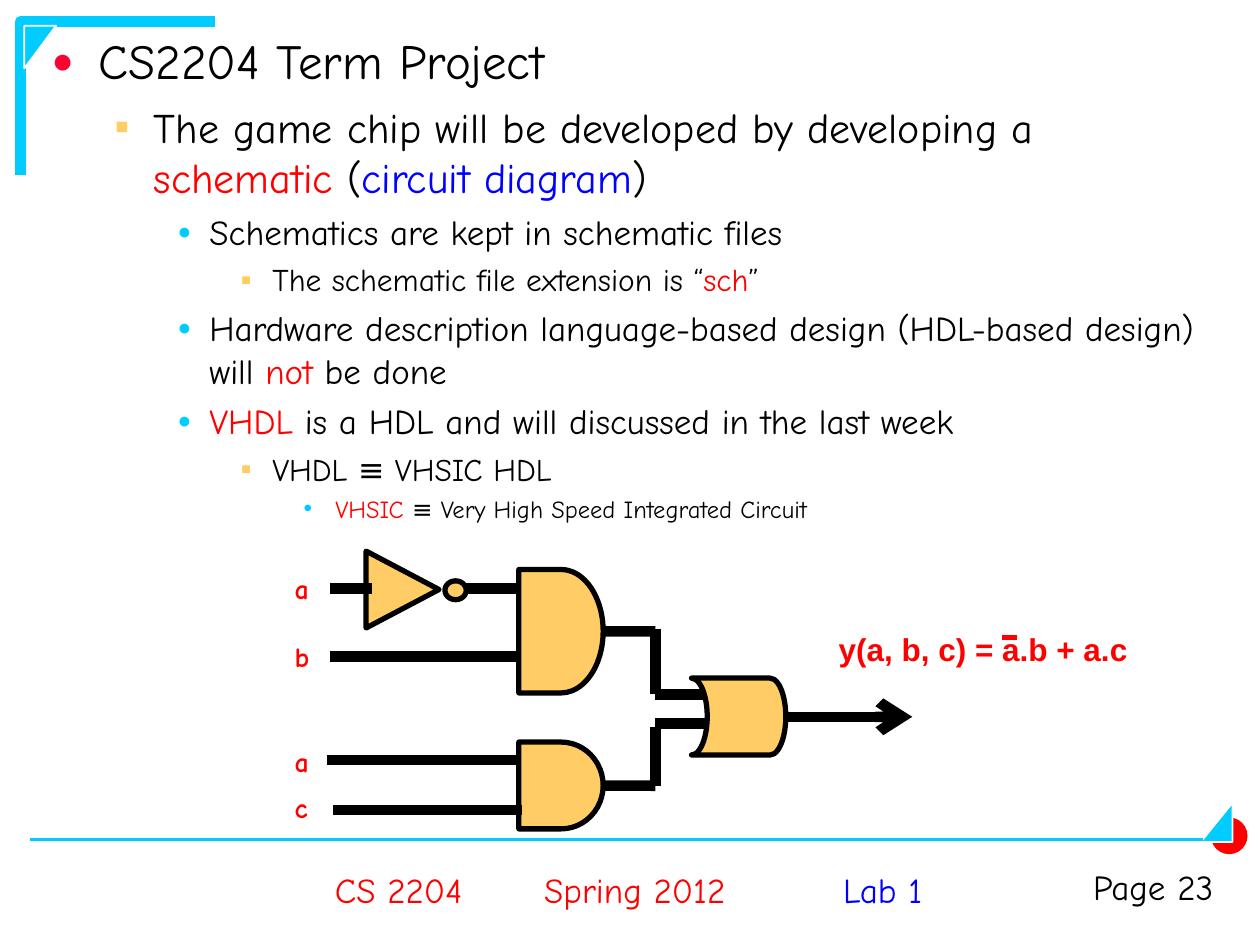
from dataclasses import dataclass

import lxml.etree
import pptx
import pptx.dml.color
import pptx.enum.shapes
import pptx.enum.text
import pptx.oxml.ns
import pptx.util

Cm = pptx.util.Cm
Pt = pptx.util.Pt
Shape = pptx.enum.shapes.MSO_SHAPE
Align = pptx.enum.text.PP_ALIGN
Anchor = pptx.enum.text.MSO_ANCHOR

COLORS = {
    "black": "000000", "white": "FFFFFF", "red": "FF0000", "blue": "0000FF",
    "cyan": "00CCFF", "amber": "FFCC66", "crimson": "FF0033",
}
FONT = "Comic Neue"


@dataclass
class Level:
    size: int
    margin: float
    hanging: float
    before: float
    bullet: str
    bullet_color: str
    bullet_percent: int = 100


@dataclass
class Item:
    level: int
    runs: list[tuple[str, str]]


@dataclass
class Figure:
    kind: int
    frame: tuple[float, float, float, float]
    fill: str
    line: str | None = None
    weight: float = 1
    rotation: int = 0


@dataclass
class Wire:
    start: tuple[float, float]
    end: tuple[float, float]
    color: str = "black"
    weight: float = 6
    arrow: bool = False


@dataclass
class Label:
    text: str
    frame: tuple[float, float, float, float]
    color: str = "red"
    size: int = 20
    font: str = FONT
    bold: bool = False
    align: int = Align.LEFT
    anchor: int = Anchor.TOP
    spacing: float = 1
    tab: float | None = None


LEVELS = [
    Level(28, 0.95, 0.95, 0, "●", "crimson", 75),
    Level(24, 2.06, 0.79, 6, "▪", "amber"),
    Level(20, 3.18, 0.64, 5, "●", "cyan", 65),
    Level(18, 4.45, 0.64, 4.5, "▪", "amber"),
    Level(14, 5.72, 0.64, 3.5, "•", "cyan"),
]
ITEMS = [
    Item(0, [("CS2204 Term Project", "black")]),
    Item(1, [("The game chip will be developed by developing a ", "black"),
             ("schematic ", "red"), ("(", "black"),
             ("circuit diagram", "blue"), (")", "black")]),
    Item(2, [("Schematics are kept in schematic files", "black")]),
    Item(3, [("The schematic file extension is “", "black"), ("sch", "red"), ("”", "black")]),
    Item(2, [("Hardware description language-based design (HDL-based design) will ", "black"),
             ("not", "red"), (" be done", "black")]),
    Item(2, [("VHDL", "red"), (" is a HDL and will discussed in the last week", "black")]),
    Item(3, [("VHDL ≡ VHSIC HDL", "black")]),
    Item(4, [("VHSIC", "red"), (" ≡ Very High Speed Integrated Circuit", "black")]),
]
ORNAMENTS = [
    Figure(Shape.RIGHT_TRIANGLE, (0.38, 0.63, 0.86, 0.64), "cyan", "white", 1, 90),
    Figure(Shape.OVAL, (24.41, 16.48, 0.74, 0.74), "red"),
    Figure(Shape.RIGHT_TRIANGLE, (24.13, 16.26, 0.79, 0.64), "cyan", "white", 1, 270),
]
INVERTER = [
    Figure(Shape.FLOWCHART_EXTRACT, (7.34, 11.15, 1.55, 1.47), "amber", "black", 3, 90),
    Figure(Shape.FLOWCHART_CONNECTOR, (8.97, 11.71, 0.43, 0.38), "amber", "black", 3),
]
AND_GATES = [
    Figure(Shape.FLOWCHART_DELAY, (10.46, 11.48, 1.7, 2.49), "amber", "black", 3),
    Figure(Shape.FLOWCHART_DELAY, (10.46, 14.96, 1.7, 1.75), "amber", "black", 3),
]
OR_GATE = Figure(Shape.FLOWCHART_STORED_DATA, (13.94, 13.67, 1.9, 1.55), "amber", "black", 3, 180)
AND_OUTPUTS = [
    Wire((12.16, 12.73), (13.21, 12.73)),
    Wire((12.16, 15.84), (13.21, 15.84)),
]
WIRES = [
    Wire((6.65, 11.86), (7.49, 11.86)),
    Wire((9.4, 11.86), (10.46, 11.86)),
    Wire((6.65, 13.23), (10.46, 13.23)),
    Wire((6.6, 15.32), (10.41, 15.32)),
    Wire((6.71, 16.33), (10.52, 16.33)),
    Wire((13.21, 12.67), (13.21, 14)),
    Wire((13.21, 14.66), (13.21, 15.84)),
    Wire((13.21, 14), (14.27, 14)),
    Wire((13.21, 14.58), (14.27, 14.58)),
    Wire((15.85, 14.45), (18.39, 14.45), arrow=True),
]
FOOTERS = [
    Label("Lab 1", (15.19, 17.12, 5.21, 1.63), "blue", align=Align.CENTER, anchor=Anchor.MIDDLE),
    Label("CS 2204\tSpring 2012", (6.5, 17.12, 8.6, 1.63), anchor=Anchor.MIDDLE, tab=4.22),
    Label("Page 23", (20.6, 17.32, 4.11, 1.42), "black", align=Align.RIGHT),
]
INPUTS = [("a", 11.48), ("b", 12.85), ("a", 14.96), ("c", 15.88)]
EQUATION = Label("y(a, b, c) = a.b + a.c", (16.16, 12.73, 7.32, 0.86), size=18, font="Arial",
                 bold=True, align=Align.CENTER, spacing=0.8)


def rgb(name: str):
    return pptx.dml.color.RGBColor.from_string(COLORS[name])


def add_child(parent, tag: str, **attributes):
    return lxml.etree.SubElement(parent, pptx.oxml.ns.qn(tag), **attributes)


def add_run(para, text: str, color: str, size: int, font: str = FONT, bold: bool = False):
    run = para.add_run()
    run.text = text
    run.font.name = font
    run.font.size = Pt(size)
    run.font.bold = bold
    run.font.color.rgb = rgb(color)


def draw_figure(page, figure: Figure):
    shape = page.shapes.add_shape(figure.kind, *map(Cm, figure.frame))
    shape.shadow.inherit = False
    shape.rotation = figure.rotation
    shape.fill.solid()
    shape.fill.fore_color.rgb = rgb(figure.fill)
    if figure.line:
        shape.line.color.rgb = rgb(figure.line)
        shape.line.width = Pt(figure.weight)
    else:
        shape.line.fill.background()
    return shape


def draw_wire(page, wire: Wire):
    connector = page.shapes.add_connector(
        pptx.enum.shapes.MSO_CONNECTOR.STRAIGHT, *map(Cm, wire.start + wire.end))
    connector.line.color.rgb = rgb(wire.color)
    connector.line.width = Pt(wire.weight)
    if wire.arrow:
        add_child(connector.line._get_or_add_ln(), "a:tailEnd", type="arrow")
    add_child(connector._element.spPr, "a:effectLst")
    return connector


def draw_polyline(page, points: list[tuple[float, float]], color: str, weight: float):
    start, *rest = [(Cm(x), Cm(y)) for x, y in points]
    builder = page.shapes.build_freeform(*start)
    builder.add_line_segments(rest, close=False)
    shape = builder.convert_to_shape()
    shape.shadow.inherit = False
    shape.fill.background()
    shape.line.color.rgb = rgb(color)
    shape.line.width = Pt(weight)


def draw_label(page, label: Label):
    box = page.shapes.add_textbox(*map(Cm, label.frame))
    box.text_frame.word_wrap = True
    box.text_frame.vertical_anchor = label.anchor
    para = box.text_frame.paragraphs[0]
    if label.tab:
        tabs = add_child(para._p.get_or_add_pPr(), "a:tabLst")
        add_child(tabs, "a:tab", pos=str(Cm(label.tab)), algn="l")
    para.alignment = label.align
    para.line_spacing = label.spacing
    add_run(para, label.text, label.color, label.size, label.font, label.bold)
    return box


def fill_outline(body, items: list[Item]):
    body.left, body.top, body.width, body.height = map(Cm, (0.53, 0.63, 24.33, 16.31))
    frame = body.text_frame
    frame.auto_size = pptx.enum.text.MSO_AUTO_SIZE.NONE
    frame.vertical_anchor = Anchor.TOP
    frame.margin_left = frame.margin_right = Cm(0.51)
    for index, item in enumerate(items):
        para = frame.add_paragraph() if index else frame.paragraphs[0]
        level = LEVELS[item.level]
        para.level = item.level
        properties = para._p.get_or_add_pPr()
        properties.set("marL", str(Cm(level.margin)))
        properties.set("indent", str(-Cm(level.hanging)))
        add_child(add_child(properties, "a:buClr"), "a:srgbClr", val=COLORS[level.bullet_color])
        add_child(properties, "a:buSzPct", val=str(level.bullet_percent * 1000))
        add_child(properties, "a:buFont", typeface="Arial")
        add_child(properties, "a:buChar", char=level.bullet)
        para.space_before = Pt(level.before)
        para.line_spacing = 1.0 if index else 0.9
        for text, color in item.runs:
            add_run(para, text, color, level.size)


def main():
    deck = pptx.Presentation()
    deck.slide_width, deck.slide_height = Cm(25.4), Cm(19.05)
    page = deck.slides.add_slide(deck.slide_layouts[1])
    title = page.shapes.title._element
    title.getparent().remove(title)
    fill_outline(page.placeholders[1], ITEMS)

    draw_polyline(page, [(0.41, 3.53), (0.41, 0.43), (4.34, 0.43)], "cyan", 6)
    for ornament in ORNAMENTS:
        draw_figure(page, ornament)
    draw_polyline(page, [(24.84, 16.41), (24.84, 16.97), (24.46, 16.97)], "white", 0.75)
    draw_wire(page, Wire((0.61, 16.92), (24.26, 16.92), "cyan", 1.5))
    for footer in FOOTERS:
        draw_label(page, footer)

    for part in INVERTER:
        draw_figure(page, part)
    for figure, output in zip(AND_GATES, AND_OUTPUTS):
        gate = draw_figure(page, figure)
        draw_wire(page, output).begin_connect(gate, 3)
    for wire in WIRES:
        draw_wire(page, wire)
    draw_figure(page, OR_GATE)

    for name, top in INPUTS:
        draw_label(page, Label(name, (5.69, top, 0.97, 0.6), size=16, bold=True, spacing=0.9))
    equation = draw_label(page, EQUATION)
    equation.line.color.rgb = rgb("white")
    equation.line.width = Pt(3)
    draw_wire(page, Wire((20.19, 12.85), (20.5, 12.85), "red", 3))
    deck.save("out.pptx")


if __name__ == "__main__":
    main()
